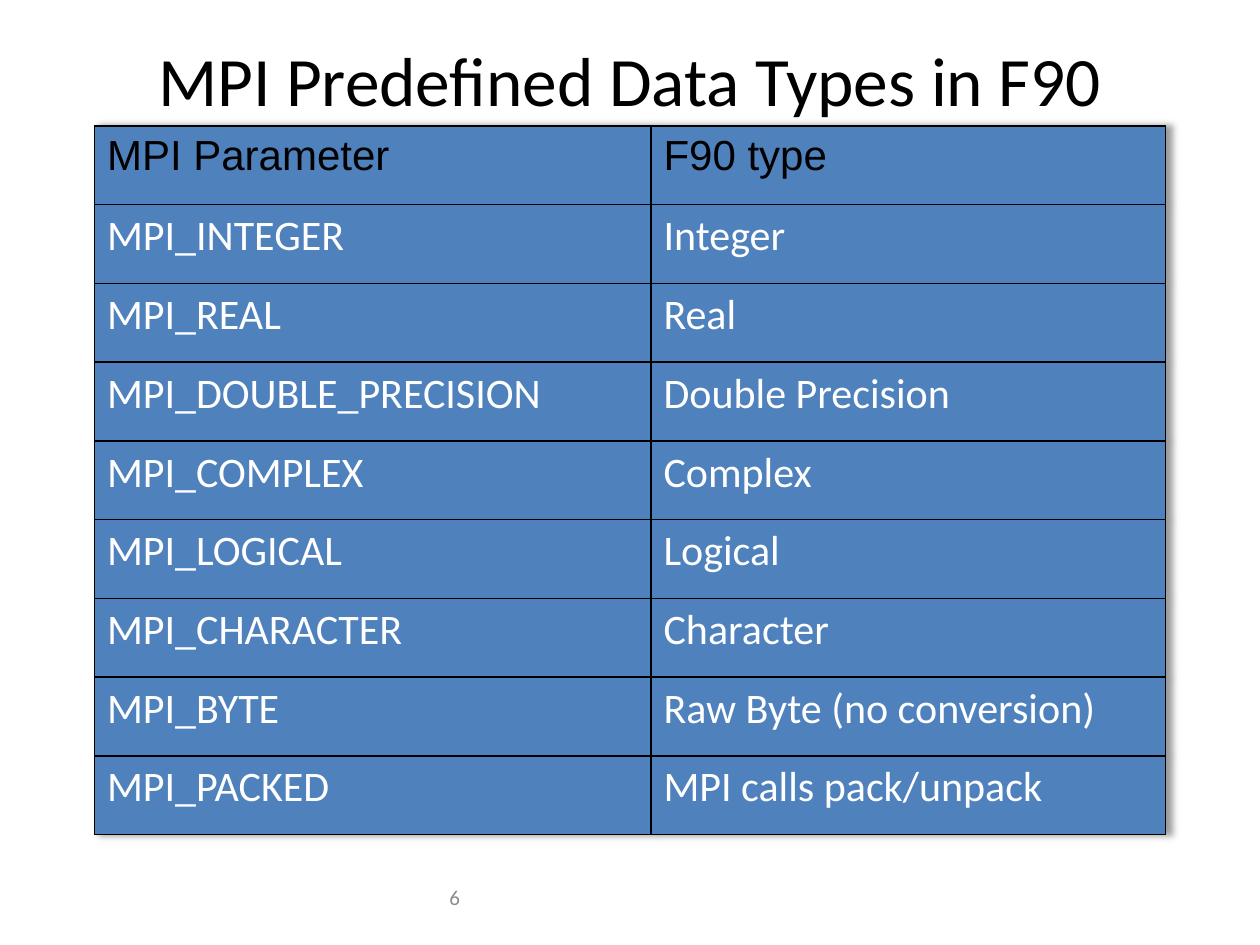
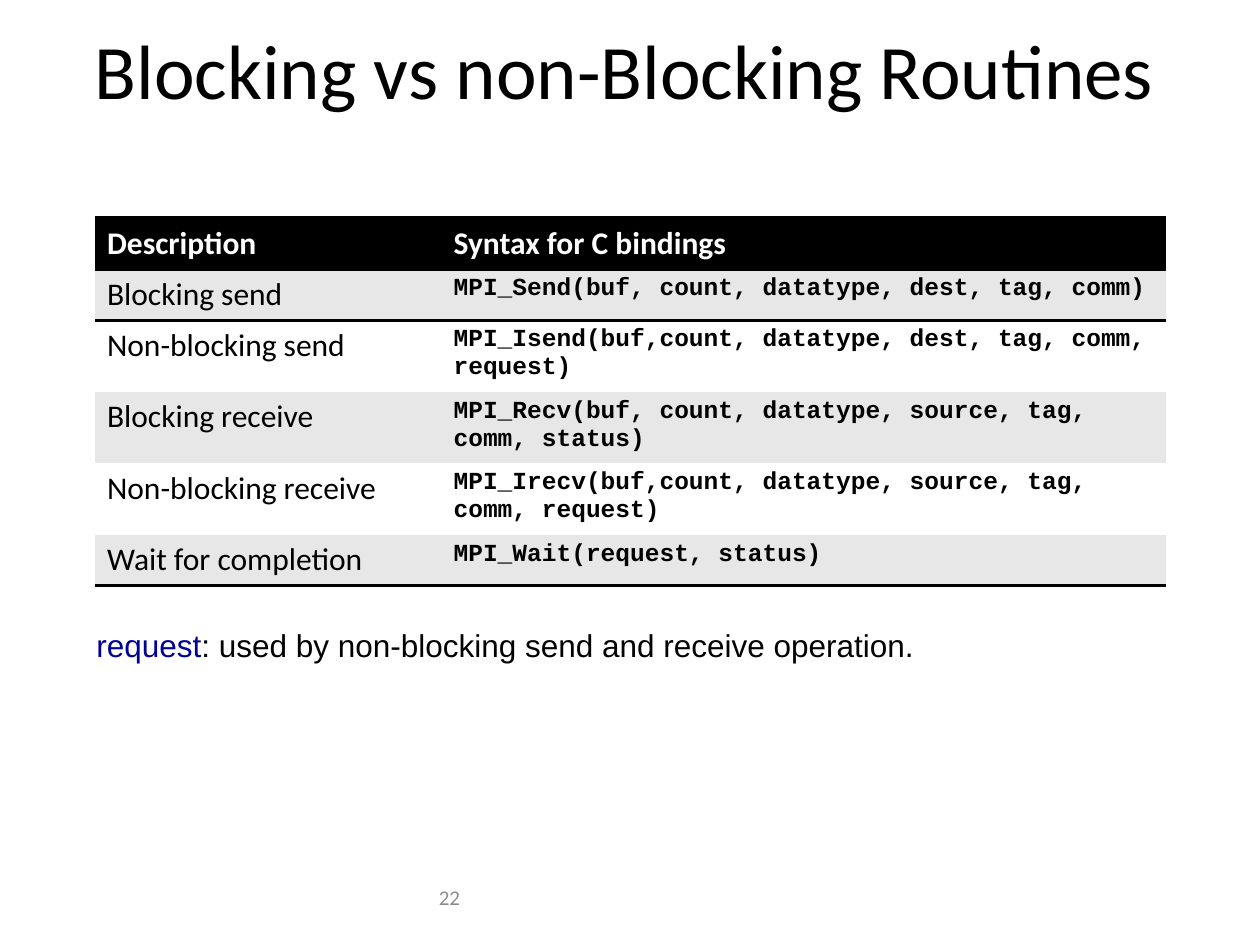
import pptx
import pptx.util
import pptx.dml.color
import pptx.enum.text
import pptx.oxml
import pptx.oxml.ns
from lxml import etree

Pt = pptx.util.Pt
RGB = pptx.dml.color.RGBColor.from_string
ALIGN = pptx.enum.text.PP_ALIGN
ANCHOR = pptx.enum.text.MSO_ANCHOR
qn = pptx.oxml.ns.qn

COLORS = {"black": "000000", "white": "FFFFFF", "blue": "4F81BD",
          "band": "E7E7E7", "gray": "8C8C8C", "navy": "000099"}
NO_STYLE = "{2D5ABB26-0587-4C30-8999-92F81FD0307C}"
SHADOW = (f'<a:effectLst {pptx.oxml.ns.nsdecls("a")}>'
          '<a:outerShdw blurRad="50800" dist="38100" dir="0" algn="l" rotWithShape="0">'
          '<a:srgbClr val="000000"><a:alpha val="40000"/></a:srgbClr>'
          '</a:outerShdw></a:effectLst>')

# Text styles: font, size, colour, bold
NUMBER = ("Calibri", 12, "gray", False)
NOTE = ("Arial", 18, "black", False)
NOTE_TERM = ("Arial", 18, "navy", False)
TYPE_HEAD = ("Arial", 24, "black", False)
TYPE_BODY = ("Calibri", 24, "white", False)
ROUTINE_HEAD = ("Calibri", 18, "white", True)
ROUTINE_BODY = ("Calibri", 18, "black", False)
CODE = ("Courier New", 14, "black", True)

TYPES = [
    ("MPI Parameter", "F90 type"),
    ("MPI_INTEGER", "Integer"),
    ("MPI_REAL", "Real"),
    ("MPI_DOUBLE_PRECISION", "Double Precision"),
    ("MPI_COMPLEX", "Complex"),
    ("MPI_LOGICAL", "Logical"),
    ("MPI_CHARACTER", "Character"),
    ("MPI_BYTE", "Raw Byte (no conversion)"),
    ("MPI_PACKED", "MPI calls pack/unpack"),
]
ROUTINES = [
    ("Description", "Syntax for C bindings"),
    ("Blocking send", "MPI_Send(buf, count, datatype, dest, tag, comm)"),
    ("Non-blocking send", "MPI_Isend(buf,count, datatype, dest, tag, comm, request)"),
    ("Blocking receive", "MPI_Recv(buf, count, datatype, source, tag, comm, status)"),
    ("Non-blocking receive", "MPI_Irecv(buf,count, datatype, source, tag, comm, request)"),
    ("Wait for completion", "MPI_Wait(request, status)"),
]


def format_run(r, style):
    font, size, color, bold = style
    r.font.name, r.font.size, r.font.bold = font, Pt(size), bold
    r.font.color.rgb = RGB(COLORS[color])


def add_text(slide, box, runs, align=ALIGN.LEFT, anchor=ANCHOR.MIDDLE):
    tf = slide.shapes.add_textbox(*map(Pt, box)).text_frame
    tf.word_wrap = True
    tf.vertical_anchor = anchor
    p = tf.paragraphs[0]
    p.alignment = align
    for text, style in runs:
        r = p.add_run()
        r.text = text
        format_run(r, style)


def add_slide(prs, title, title_box, title_size, number):
    """Blank slide with the shared title style and page number."""
    slide = prs.slides.add_slide(prs.slide_layouts[6])
    add_text(slide, title_box, [(title, ("Calibri", title_size, "black", False))],
             ALIGN.CENTER)
    add_text(slide, (102, 498, 168, 29), [(str(number), NUMBER)], ALIGN.RIGHT)
    return slide


def set_borders(cell, sides, width):
    tcPr = cell._tc.get_or_add_tcPr()
    for side in sides:
        ln = etree.SubElement(tcPr, qn(f"a:ln{side}"), w=str(Pt(width)))
        fill = etree.SubElement(ln, qn("a:solidFill"))
        etree.SubElement(fill, qn("a:srgbClr"), val=COLORS["black"])


def add_grid(slide, box, col_widths, rows, look):
    """Table whose look(row, col) gives text style, fill, border sides and width."""
    table = slide.shapes.add_table(len(rows), len(col_widths), *map(Pt, box)).table
    table.first_row = table.horz_banding = False
    table._tbl.tblPr.find(qn("a:tableStyleId")).text = NO_STYLE
    for column, width in zip(table.columns, col_widths):
        column.width = Pt(width)
    for i, texts in enumerate(rows):
        table.rows[i].height = Pt(box[3] / len(rows))
        for j, text in enumerate(texts):
            style, fill, sides, width = look(i, j)
            cell = table.cell(i, j)
            set_borders(cell, sides, width)
            cell.fill.solid()
            cell.fill.fore_color.rgb = RGB(COLORS[fill])
            cell.text_frame.text = text
            format_run(cell.text_frame.paragraphs[0].runs[0], style)
    return table


def type_look(row, col):
    return TYPE_BODY if row else TYPE_HEAD, "blue", "LRTB", 1


def routine_look(row, col):
    if row == 0:
        return ROUTINE_HEAD, "black", "TB", 2
    sides = {1: "T", len(ROUTINES) - 1: "B"}.get(row, "")
    return CODE if col else ROUTINE_BODY, "band" if row % 2 else "white", sides, 2


def data_types_slide(prs):
    slide = add_slide(prs, "MPI Predefined Data Types in F90", (54, 0, 612, 90), 39.6, 6)
    table = add_grid(slide, (54, 72, 612, 405), (318, 294), TYPES, type_look)
    table._tbl.tblPr.insert(0, pptx.oxml.parse_xml(SHADOW))


def routines_slide(prs):
    slide = add_slide(prs, "Blocking vs non-Blocking Routines", (36, 0, 642, 78), 44, 22)
    # Explanation below the table
    add_text(slide, (48, 354, 612, 29.5),
             [("request", NOTE_TERM),
              (": used by non-blocking send and receive operation.", NOTE)],
             anchor=ANCHOR.TOP)
    add_grid(slide, (54, 124.5, 612, 175.5), (198, 414), ROUTINES, routine_look)


prs = pptx.Presentation()
prs.slide_width, prs.slide_height = Pt(720), Pt(540)
data_types_slide(prs)
routines_slide(prs)
prs.save("out.pptx")
